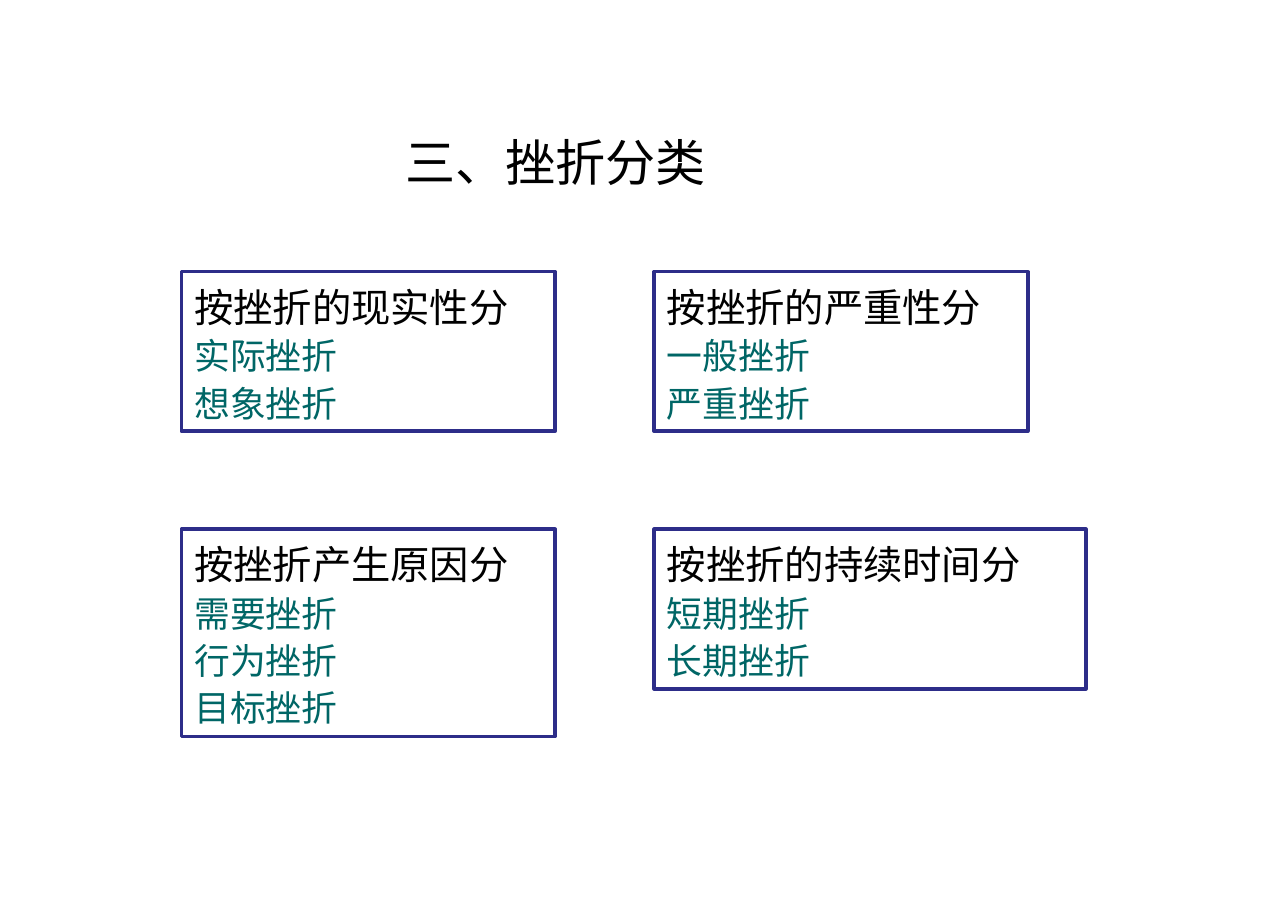
import pptx
import pptx.dml.color
import pptx.enum.shapes
import pptx.enum.text
import pptx.oxml.ns
import pptx.util
from dataclasses import dataclass
from lxml import etree

Inches = pptx.util.Inches
Pt = pptx.util.Pt
Color = pptx.dml.color.RGBColor.from_string
qn = pptx.oxml.ns.qn

TITLE = "三、挫折分类"
CATEGORIES = [
    ("按挫折的现实性分", ["实际挫折", "想象挫折"], 2.9),
    ("按挫折的严重性分", ["一般挫折", "严重挫折"], 2.9),
    ("按挫折产生原因分", ["需要挫折", "行为挫折", "目标挫折"], 2.9),
    ("按挫折的持续时间分", ["短期挫折", "长期挫折"], 3.35),
]


@dataclass
class Theme:
    font: str = "Noto Sans CJK SC"
    ink: str = "000000"
    accent: str = "006666"
    border: str = "2D2D89"
    paper: str = "FFFFFF"
    title_size: int = 28
    heading_size: int = 22
    item_size: int = 20
    border_width: int = 2


THEME = Theme()
LEFT, TOP = 1.41, 2.11
COLUMN_STEP, ROW_STEP = 3.67, 2.0
HEADING_HEIGHT, ITEM_HEIGHT = 0.5, 0.37


def write_lines(box, lines, align, spacing):
    frame = box.text_frame
    frame.word_wrap = True
    frame.auto_size = pptx.enum.text.MSO_AUTO_SIZE.SHAPE_TO_FIT_TEXT
    frame.vertical_anchor = pptx.enum.text.MSO_ANCHOR.TOP
    for index, (text, size, color) in enumerate(lines):
        para = frame.add_paragraph() if index else frame.paragraphs[0]
        para.text = text
        para.alignment = align
        para.line_spacing = spacing
        para.font.size = Pt(size)
        para.font.color.rgb = Color(color)
        para.font.name = THEME.font
        properties = para._p.pPr.find(qn("a:defRPr"))
        etree.SubElement(properties, qn("a:ea"), typeface=THEME.font)


def add_category(page, index, heading, items, width):
    row, column = divmod(index, 2)
    box = page.shapes.add_shape(
        pptx.enum.shapes.MSO_SHAPE.RECTANGLE,
        Inches(LEFT + column * COLUMN_STEP),
        Inches(TOP + row * ROW_STEP),
        Inches(width),
        Inches(HEADING_HEIGHT + len(items) * ITEM_HEIGHT),
    )
    box.shadow.inherit = False
    box.fill.solid()
    box.fill.fore_color.rgb = Color(THEME.paper)
    box.line.color.rgb = Color(THEME.border)
    box.line.width = Pt(THEME.border_width)
    lines = [(heading, THEME.heading_size, THEME.ink)]
    lines += [(item, THEME.item_size, THEME.accent) for item in items]
    write_lines(box, lines, pptx.enum.text.PP_ALIGN.LEFT, 1.1)


def main():
    deck = pptx.Presentation()
    deck.slide_width, deck.slide_height = Inches(10), Inches(7.09)
    page = deck.slides.add_slide(deck.slide_layouts[6])
    title = page.shapes.add_textbox(Inches(1.91), Inches(0.97), Inches(4.8), Inches(0.57))
    write_lines(title, [(TITLE, THEME.title_size, THEME.ink)],
                pptx.enum.text.PP_ALIGN.CENTER, 1.0)
    for index, (heading, items, width) in enumerate(CATEGORIES):
        add_category(page, index, heading, items, width)
    deck.save("out.pptx")


if __name__ == "__main__":
    main()
